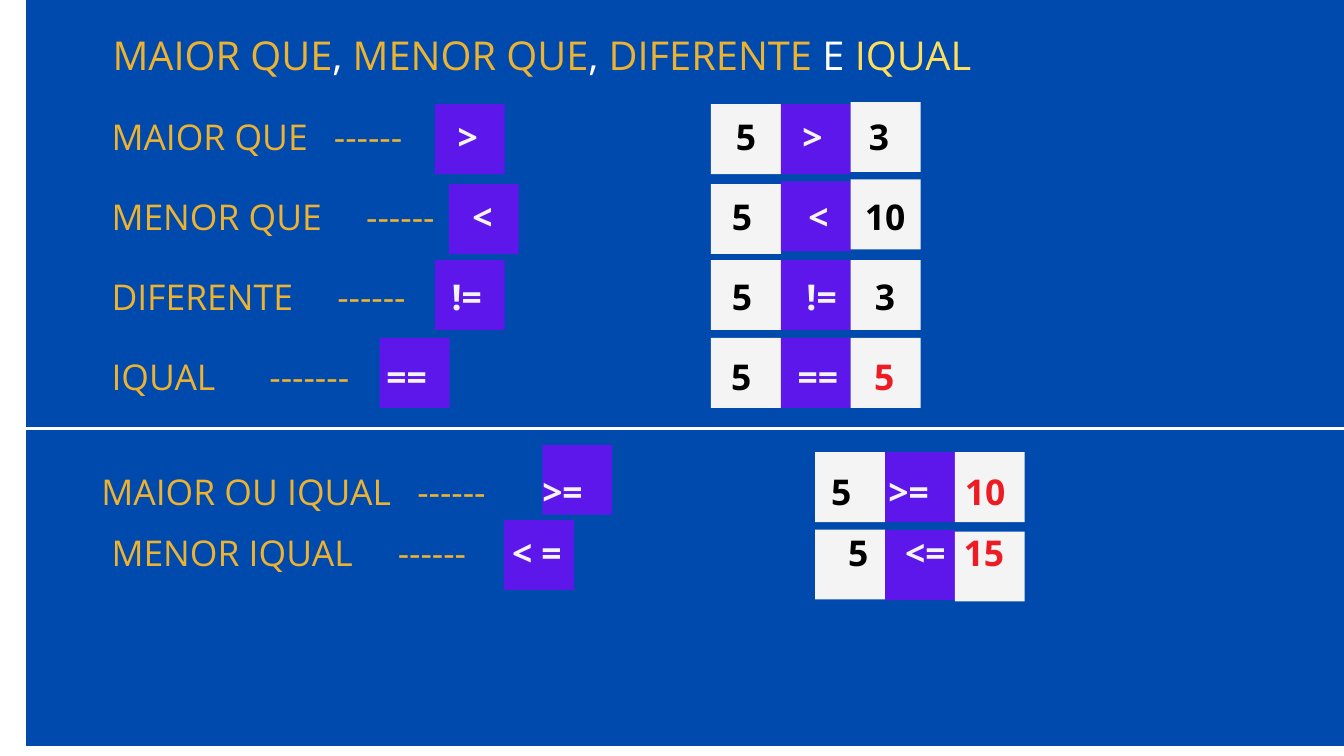
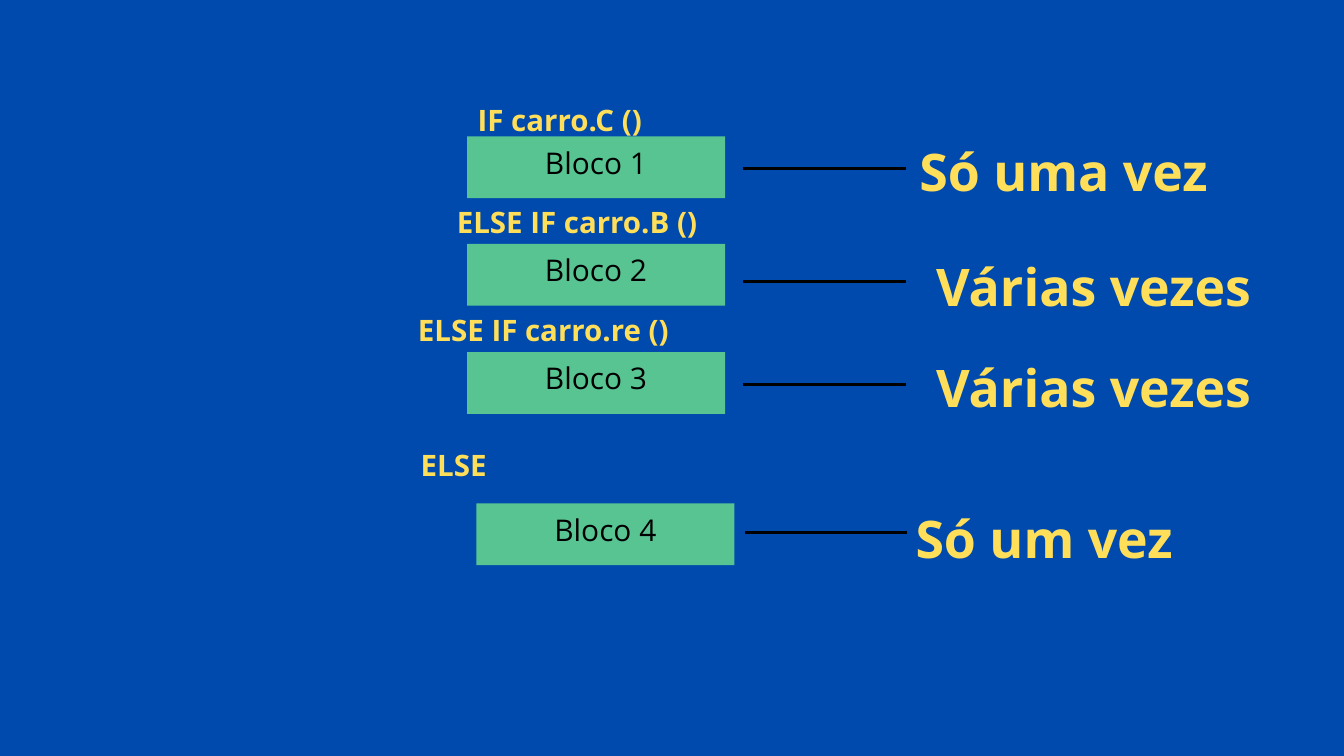
from lxml.etree import SubElement
from pptx import Presentation
from pptx.dml.color import RGBColor
from pptx.enum.shapes import MSO_CONNECTOR, MSO_SHAPE
from pptx.enum.text import MSO_ANCHOR, MSO_AUTO_SIZE, PP_ALIGN
from pptx.oxml.ns import qn
from pptx.util import Inches, Pt

FONT = "Open Sans"
BLUE, PURPLE, GREEN = "004AAD", "5E17EB", "57C492"
GOLD, YELLOW, RED = "EDB330", "FFDE59", "ED1C24"
WHITE, PALE, BLACK = "FFFFFF", "F4F4F4", "000000"
SIDE = 1.04  # side of an operator or value tile


def rgb(color):
    return RGBColor.from_string(color)


def set_text(tf, runs, size, spacing, align=PP_ALIGN.CENTER, tabs=(),
             anchor=MSO_ANCHOR.TOP, bottom=0):
    """Write (text, colour, bold) runs as one paragraph; tabs are inches from the left edge."""
    tf.word_wrap = True
    tf.auto_size = MSO_AUTO_SIZE.NONE
    tf.vertical_anchor = anchor
    tf.margin_left = tf.margin_top = tf.margin_right = 0
    tf.margin_bottom = Inches(bottom)
    p = tf.paragraphs[0]
    p.alignment = align
    p.line_spacing = Pt(spacing)
    if tabs:
        tab_list = SubElement(p._p.get_or_add_pPr(), qn("a:tabLst"))
        for tab in tabs:
            SubElement(tab_list, qn("a:tab"), pos=str(Inches(tab)), algn="l")
    for text, color, bold in runs:
        r = p.add_run()
        r.text = text
        r.font.name = FONT
        r.font.size = Pt(size)
        r.font.bold = bold
        r.font.color.rgb = rgb(color)


class Deck:
    def __init__(self):
        self.prs = Presentation()
        self.prs.slide_width = Inches(20)
        self.prs.slide_height = Inches(11.25)
        self.s = None

    def new_slide(self, layout):
        self.s = self.prs.slides.add_slide(self.prs.slide_layouts.get_by_name(layout))

    def rect(self, x, y, w, h, color):
        sp = self.s.shapes.add_shape(MSO_SHAPE.RECTANGLE, Inches(x), Inches(y),
                                     Inches(w), Inches(h))
        sp.shadow.inherit = False
        sp.fill.solid()
        sp.fill.fore_color.rgb = rgb(color)
        sp.line.fill.background()
        return sp

    def tile(self, x, y, color):
        self.rect(x, y, SIDE, SIDE, color)

    def panel(self, x, y, w, h):
        """Blue ground, placed behind the title if there is one."""
        sp = self.rect(x, y, w, h, BLUE)
        if self.s.shapes.title is not None:
            self.s.shapes.title.element.addprevious(sp.element)

    def title(self, runs, x, y, w, h):
        sp = self.s.shapes.title
        sp.left, sp.top, sp.width, sp.height = map(Inches, (x, y, w, h))
        set_text(sp.text_frame, runs, 42.6, 59.6)

    def text(self, runs, x, y, w, h, size, spacing, **fmt):
        sp = self.s.shapes.add_textbox(Inches(x), Inches(y), Inches(w), Inches(h))
        set_text(sp.text_frame, runs, size, spacing, **fmt)

    def line(self, x1, x2, y, color):
        c = self.s.shapes.add_connector(MSO_CONNECTOR.STRAIGHT, Inches(x1), Inches(y),
                                        Inches(x2), Inches(y))
        c.line.color.rgb = rgb(color)
        c.line.width = Pt(3)
        SubElement(c.element.spPr, qn("a:effectLst"))

    def block(self, text, x, y):
        sp = self.rect(x, y, 3.84, 0.92, GREEN)
        set_text(sp.text_frame, [(text, BLACK, False)], 32, 44.8,
                 anchor=MSO_ANCHOR.MIDDLE, bottom=0.24)


# name, dashes, operator, operator in the example, value, value colour,
# text position, columns of the five words after the name,
# operator tile position, example left, tops of its three tiles
OPERATORS = [
    ("MAIOR QUE", "------", ">", ">", "3", BLACK, (1.66, 1.6),
     (4.97, 6.81, 10.95, 11.94, 12.93), (6.47, 1.55), 10.58, (1.55, 1.55, 1.52)),
    ("MENOR QUE", "------", "<", "<", "10", BLACK, (1.66, 2.79),
     (5.45, 7.03, 10.89, 12.03, 12.87), (6.68, 2.74), 10.58, (2.74, 2.7, 2.67)),
    ("DIFERENTE", "------", "!=", "!=", "3", BLACK, (1.66, 3.99),
     (5.02, 6.72, 10.89, 12, 13.02), (6.47, 3.87), 10.58, (3.87,) * 3),
    ("IQUAL", "-------", "==", "==", "5", RED, (1.66, 5.18),
     (4.01, 5.75, 10.88, 11.87, 13.01), (5.65, 5.03), 10.58, (5.03,) * 3),
    ("MAIOR OU IQUAL", "------", ">=", ">=", "10", RED, (1.51, 6.89),
     (6.21, 8.07, 12.37, 13.22, 14.36), (8.07, 6.62), 12.13, (6.73,) * 3),
    ("MENOR IQUAL", "------", "< =", "<=", "15", RED, (1.66, 7.8),
     (5.92, 7.62, 12.62, 13.47, 14.34), (7.5, 7.74), 12.13, (7.88, 7.89, 7.91)),
]

# condition with its left, top and width; block with its position;
# line left and height; remark with its left, top and width
BRANCHES = [
    ("IF carro.C ()", 7.09, 1.43, 2.48, "Bloco 1", 6.95, 2.03,
     11.06, 2.51, "Só uma vez", 13.68, 1.93, 4.3),
    ("ELSE IF carro.B ()", 6.73, 2.95, 3.71, "Bloco 2", 6.95, 3.63,
     11.06, 4.19, "Várias vezes", 13.92, 3.63, 4.71),
    ("ELSE IF carro.re ()", 6.15, 4.56, 3.87, "Bloco 3", 6.95, 5.24,
     11.06, 5.72, "Várias vezes", 13.92, 5.14, 4.71),
    ("ELSE", 6.2, 6.57, 1.1, "Bloco 4", 7.09, 7.49,
     11.08, 7.92, "Só um vez", 13.62, 7.38, 3.84),
]


def operators_slide(deck):
    deck.new_slide("Title Only")
    deck.panel(0.39, 0, 19.61, 11.1)
    deck.title([("MAIOR QUE", GOLD, False), (", ", WHITE, False),
                ("MENOR QUE", GOLD, False), (", ", WHITE, False),
                ("DIFERENTE", GOLD, False), (" E ", WHITE, False),
                ("IQUAL", YELLOW, False)], 1.48, 0.34, 13.17, 0.79)
    deck.line(0.39, 20, 6.38, WHITE)
    for (name, dashes, sign, example_sign, value, value_color, (x, y), columns,
         sign_tile, example_x, tops) in OPERATORS:
        deck.tile(*sign_tile, PURPLE)
        for i, (top, color) in enumerate(zip(tops, (PALE, PURPLE, PALE))):
            deck.tile(example_x + i * SIDE, top, color)
        words = [(dashes, GOLD, False), (sign, PALE, True), ("5", BLACK, True),
                 (example_sign, PALE, True), (value, value_color, True)]
        runs = [(name, GOLD, False)] + [("\t" + t, c, b) for t, c, b in words]
        deck.text(runs, x, y, 14.14, 0.71, 38, 53.2, align=PP_ALIGN.LEFT,
                  tabs=[column - x for column in columns])


def branches_slide(deck):
    deck.new_slide("Blank")
    deck.panel(0, 0, 20, 11.25)
    for (condition, cx, cy, cw, block, bx, by, line_x, line_y,
         remark, rx, ry, rw) in BRANCHES:
        deck.block(block, bx, by)
        deck.text([(condition, YELLOW, True)], cx, cy, cw, 0.6, 31.6, 44.3)
        deck.line(line_x, line_x + 2.42, line_y, BLACK)
        deck.text([(remark, YELLOW, True)], rx, ry, rw, 1.03, 55.5, 77.7)


def main():
    deck = Deck()
    operators_slide(deck)
    branches_slide(deck)
    deck.prs.save("out.pptx")


if __name__ == "__main__":
    main()
